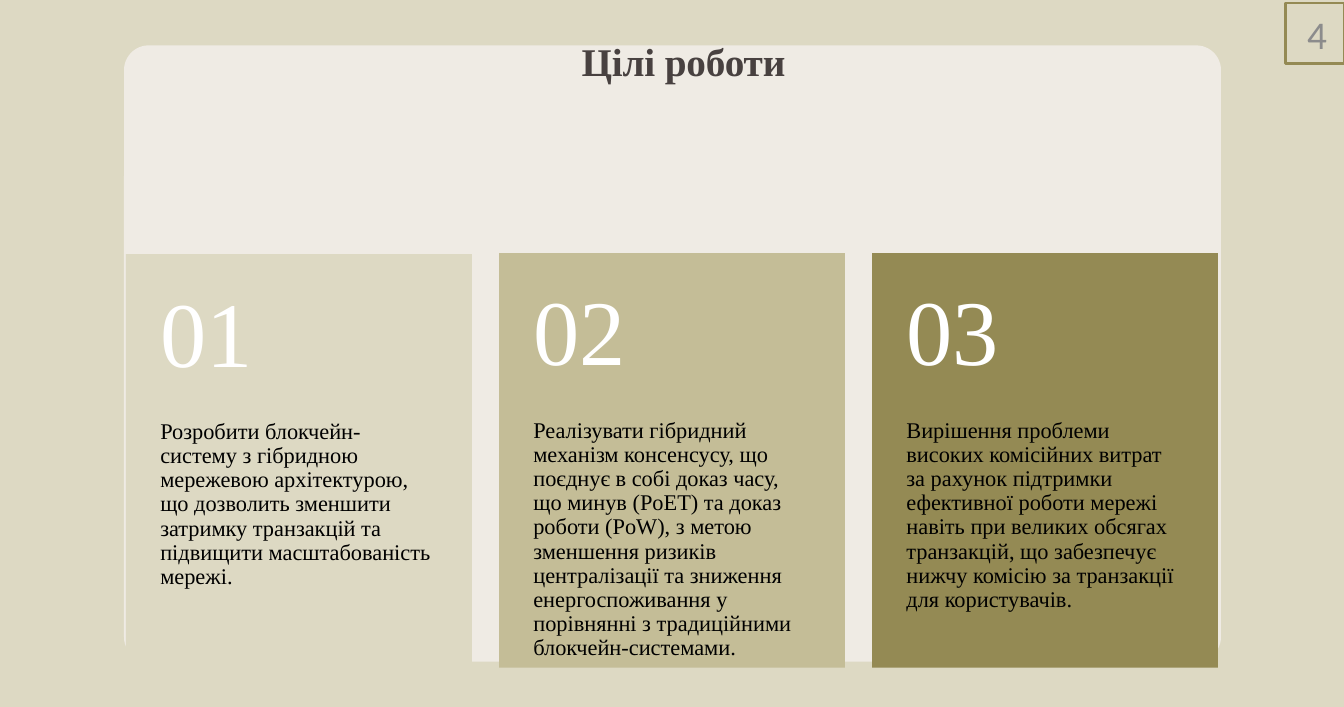
"""Builds the slide of project goals: a title over three numbered cards."""
from pptx import Presentation
from pptx import util as u
from pptx.dml.color import RGBColor
from pptx.enum import shapes, text

WIDTH, HEIGHT = 13.33, 7.01
COLORS = {
    "sand": "DDD9C3", "panel": "EFEBE4", "khaki": "C4BD97", "olive": "948A54",
    "title": "484140", "gray": "8C8C8C", "black": "000000", "white": "FFFFFF",
}
SERIF = "Times New Roman"
CARD_LEFT, CARD_STEP, CARD_WIDTH, CARD_HEIGHT = 1.25, 3.7, 3.43, 4.11
NUMBER_SHARE = 0.4
CARDS = [
    ("sand", 2.52, "Розробити блокчейн-систему з гібридною мережевою архітектурою, "
     "що дозволить зменшити затримку транзакцій та підвищити масштабованість мережі."),
    ("khaki", 2.51, "Реалізувати гібридний механізм консенсусу, що поєднує в собі доказ часу, "
     "що минув (PoET) та доказ роботи (PoW), з метою зменшення ризиків централізації "
     "та зниження енергоспоживання у порівнянні з традиційними блокчейн-системами."),
    ("olive", 2.51, "Вирішення проблеми високих комісійних витрат за рахунок підтримки "
     "ефективної роботи мережі навіть при великих обсягах транзакцій, що забезпечує "
     "нижчу комісію за транзакції для користувачів."),
]


def color(name):
    return RGBColor.from_string(COLORS[name])


def add_block(page, place, fill=None, line=None, kind=shapes.MSO_SHAPE.RECTANGLE):
    block = page.shapes.add_shape(kind, *map(u.Inches, place))
    block.shadow.inherit = False
    if fill:
        block.fill.solid()
        block.fill.fore_color.rgb = color(fill)
    else:
        block.fill.background()
    if line:
        block.line.color.rgb = color(line)
        block.line.width = u.Pt(2)
    else:
        block.line.fill.background()
    return block


def add_text(page, place, words, size, ink, font=SERIF, insets=(0, 0, 0, 0),
             anchor=text.MSO_ANCHOR.TOP, spacing=None):
    box = page.shapes.add_textbox(*map(u.Inches, place))
    frame = box.text_frame
    frame.word_wrap = True
    frame.vertical_anchor = anchor
    (frame.margin_left, frame.margin_top,
     frame.margin_right, frame.margin_bottom) = map(u.Inches, insets)
    para = frame.paragraphs[0]
    para.line_spacing = spacing
    span = para.add_run()
    span.text = words
    span.font.name = font
    span.font.size = u.Pt(size)
    span.font.color.rgb = color(ink)
    return para, span


def add_title(page, words):
    para, span = add_text(page, (5.76, 0.42, 2.74, 0.42), words, 28, "title",
                          insets=(0.01, 0.05, 0, 0), spacing=u.Pt(26.3))
    para.space_before = u.Pt(3.8)
    span.font.bold = True
    span.font._element.set("spc", "-10")


def add_page_number(page, number):
    para, _ = add_text(page, (10.09, 0.1, 3.07, 0.47), number, 28, "gray", font="Calibri")
    para.alignment = text.PP_ALIGN.RIGHT
    add_block(page, (WIDTH - 0.58, 0.03, 0.58, 0.6), line="olive")


def add_card(page, index, fill, top, words):
    left = CARD_LEFT + index * CARD_STEP
    head = CARD_HEIGHT * NUMBER_SHARE
    add_block(page, (left, top, CARD_WIDTH, CARD_HEIGHT), fill)
    add_text(page, (left, top + head, CARD_WIDTH, CARD_HEIGHT - head), words, 16, "black",
             insets=(0.34, 0, 0.34, 0.36), spacing=0.9)
    add_text(page, (left, top, CARD_WIDTH, head), f"{index + 1:02}", 66, "white",
             insets=(0.34, 0.18, 0.34, 0.18), anchor=text.MSO_ANCHOR.MIDDLE, spacing=0.9)


def main():
    deck = Presentation()
    deck.slide_width, deck.slide_height = u.Inches(WIDTH), u.Inches(HEIGHT)
    page = deck.slides.add_slide(deck.slide_layouts[6])
    page.background.fill.solid()
    page.background.fill.fore_color.rgb = color("sand")
    panel = add_block(page, (1.23, 0.45, 10.88, 6.11), "panel",
                      kind=shapes.MSO_SHAPE.ROUNDED_RECTANGLE)
    panel.adjustments[0] = 0.04
    add_title(page, "Цілі роботи")
    add_page_number(page, "4")
    for index, card in enumerate(CARDS):
        add_card(page, index, *card)
    deck.save("out.pptx")


if __name__ == "__main__":
    main()
